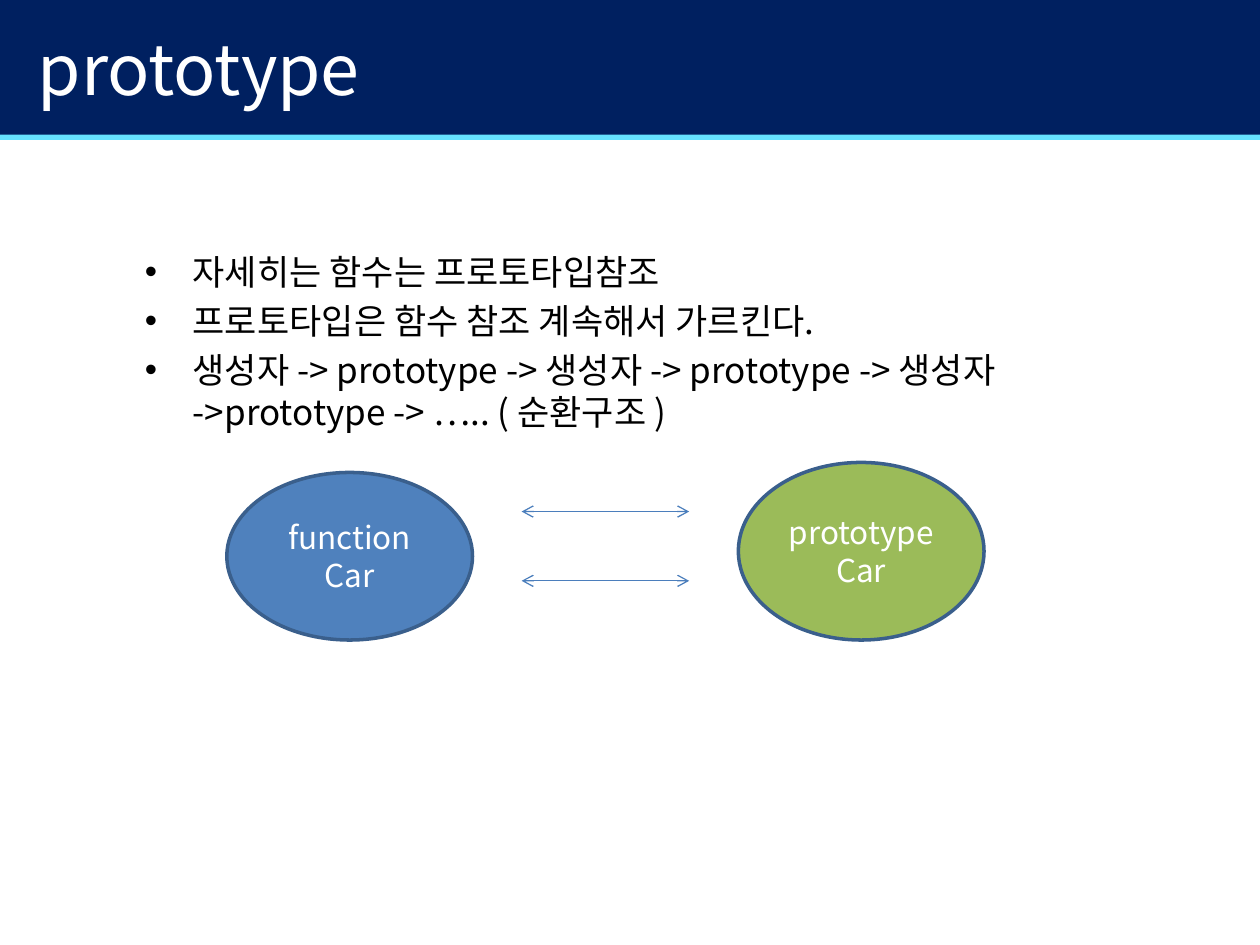
from lxml.etree import SubElement
from pptx import Presentation
from pptx.dml.color import RGBColor
from pptx.enum.shapes import MSO_CONNECTOR, MSO_SHAPE
from pptx.enum.text import MSO_ANCHOR, PP_ALIGN
from pptx.oxml.ns import qn
from pptx.util import Inches, Pt

FONT = "Noto Sans CJK KR"
COLORS = {
    "navy": "002060", "cyan": "65E2FF", "white": "FFFFFF", "black": "000000",
    "blue": "4F81BD", "green": "9BBB59", "outline": "3A5F8C", "arrow": "4B7EBC",
}
POINTS = [
    "자세히는 함수는 프로토타입참조",
    "프로토타입은 함수 참조 계속해서 가르킨다.",
    "생성자 -> prototype -> 생성자 -> prototype -> 생성자 ->prototype -> ….. ( 순환구조 )",
]


def color(name):
    return RGBColor.from_string(COLORS[name])


def place(shape, bounds):
    for side, value in zip(("left", "top", "width", "height"), bounds):
        setattr(shape, side, Inches(value))


def write(shape, lines, size, ink, anchor, paragraph_format):
    """Fill a shape with one paragraph per line."""
    frame = shape.text_frame
    frame.word_wrap = True
    frame.vertical_anchor = anchor
    frame.text = "\n".join(lines)
    for para in frame.paragraphs:
        for name, value in paragraph_format.items():
            setattr(para, name, value)
        for span in para.runs:
            font = span.font
            for name, value in {"name": FONT, "size": Pt(size)}.items():
                setattr(font, name, value)
            font.color.rgb = color(ink)
            SubElement(span._r.get_or_add_rPr(), qn("a:ea"), typeface=FONT)


def add_filled(page, kind, bounds, fill, outline=None):
    shape = page.shapes.add_shape(kind, *map(Inches, bounds))
    shape.shadow.inherit = False
    shape.fill.solid()
    shape.fill.fore_color.rgb = color(fill)
    if outline:
        shape.line.color.rgb = color(outline)
        shape.line.width = Pt(2)
    else:
        shape.line.fill.background()
    return shape


def add_band(page, bounds, fill):
    """Add a header band behind the placeholders."""
    band = add_filled(page, MSO_SHAPE.RECTANGLE, bounds, fill)
    page.shapes._spTree.insert(2, band._element)


def add_node(page, bounds, fill, lines):
    node = add_filled(page, MSO_SHAPE.OVAL, bounds, fill, "outline")
    write(node, lines, 18, "white", MSO_ANCHOR.MIDDLE, {"alignment": PP_ALIGN.CENTER})


def add_double_arrow(page, left, right, y):
    arrow = page.shapes.add_connector(
        MSO_CONNECTOR.STRAIGHT, *map(Inches, (left, y, right, y)))
    arrow.line.color.rgb = color("arrow")
    arrow.line.width = Pt(0.75)
    line = arrow.line._get_or_add_ln()
    for end in ("a:headEnd", "a:tailEnd"):
        SubElement(line, qn(end), type="arrow")
    SubElement(arrow._element.spPr, qn("a:effectLst"))


def add_bullets(body):
    write(body, POINTS, 20, "black", MSO_ANCHOR.TOP,
          {"alignment": PP_ALIGN.LEFT, "space_before": Pt(4)})
    for para in body.text_frame.paragraphs:
        properties = para._p.get_or_add_pPr()
        properties.set("marL", str(Inches(0.38)))
        properties.set("indent", str(-Inches(0.38)))
        SubElement(properties, qn("a:buFont"), typeface="Arial")
        SubElement(properties, qn("a:buChar"), char="•")


def main():
    deck = Presentation()
    deck.slide_width, deck.slide_height = Inches(10), Inches(7.5)
    page = deck.slides.add_slide(deck.slide_layouts[1])

    # Header
    add_band(page, (-0.01, 0, 10.01, 1.07), "navy")
    add_band(page, (-0.01, 1.06, 10.01, 0.05), "cyan")
    title, body = page.placeholders
    place(title, (0.2, -0.09, 9, 1.25))
    write(title, ["prototype"], 40, "white", MSO_ANCHOR.MIDDLE,
          {"alignment": PP_ALIGN.LEFT})

    # Bullet list
    place(body, (1.05, 1.94, 7.9, 4.41))
    add_bullets(body)

    # Circular reference diagram
    add_node(page, (1.8, 3.75, 1.95, 1.33), "blue", ["function Car"])
    add_node(page, (5.86, 3.67, 1.95, 1.41), "green", ["prototype", "Car"])
    for y in (4.06, 4.61):
        add_double_arrow(page, 4.14, 5.47, y)

    deck.save("out.pptx")


main()
